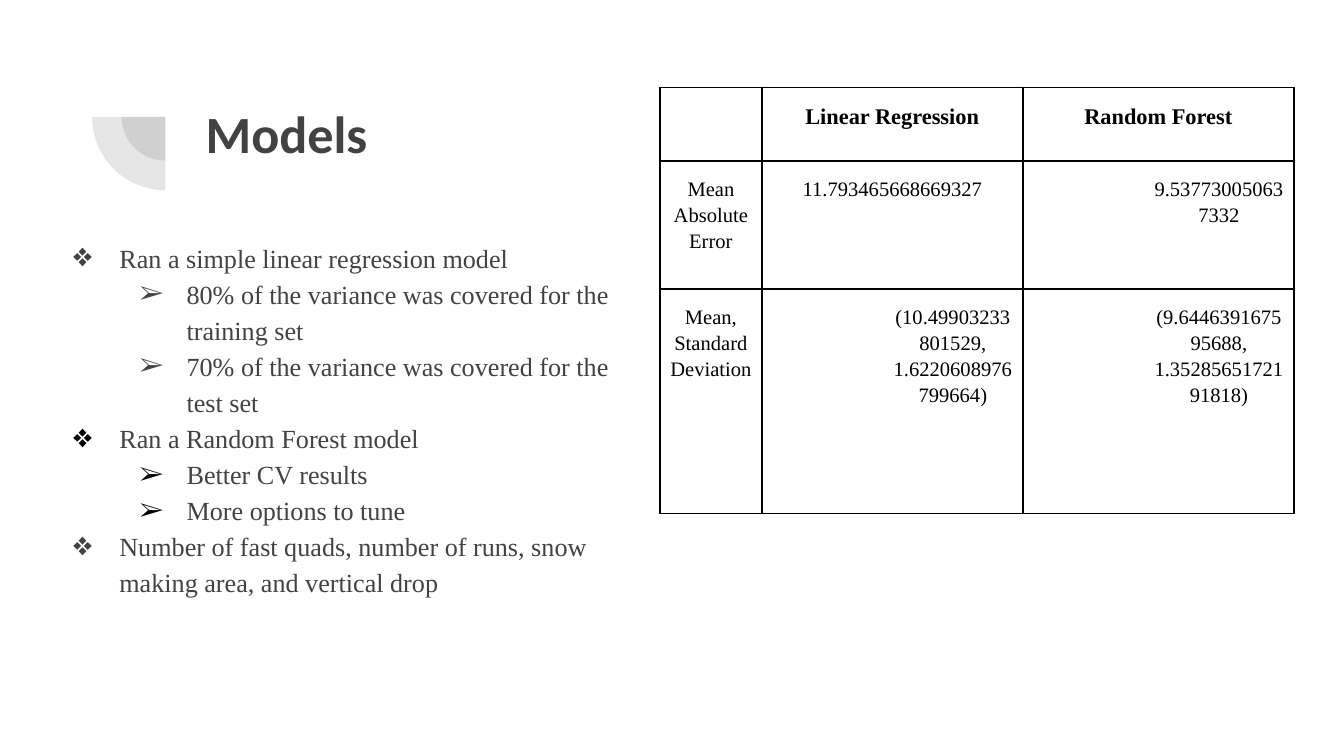
from lxml import etree
from pptx import Presentation
from pptx.dml.color import RGBColor
from pptx.enum.shapes import MSO_SHAPE
from pptx.enum.text import MSO_ANCHOR, MSO_AUTO_SIZE, PP_ALIGN
from pptx.oxml.ns import qn
from pptx.util import Inches, Pt

COLORS = {"ink": "424242", "black": "000000", "white": "FFFFFF"}
BULLETS = ["❖", "➢"]


class SlideBuilder:
    heading_font = "Calibri"
    body_font = "Times New Roman"
    line_spacing = 1.15

    def __init__(self, slide):
        self.slide = slide

    def style(self, para, font, size, color, bold=False):
        for span in para.runs:
            span.font.name = font
            span.font.size = Pt(size)
            span.font.bold = bold
            span.font.color.rgb = RGBColor.from_string(COLORS[color])

    def set_frame(self, frame, anchor):
        frame.word_wrap = True
        frame.auto_size = MSO_AUTO_SIZE.NONE
        frame.vertical_anchor = anchor
        frame.margin_left = frame.margin_right = Inches(0.1)
        frame.margin_top = frame.margin_bottom = Inches(0.1)

    def quarter(self, center_x, center_y, diameter):
        pie = self.slide.shapes.add_shape(
            MSO_SHAPE.PIE, Inches(center_x - diameter / 2),
            Inches(center_y - diameter / 2), Inches(diameter), Inches(diameter))
        pie.adjustments[0] = 107.93
        pie.adjustments[1] = 162
        pie.rotation = 270
        pie.shadow.inherit = False
        pie.line.fill.background()
        pie.fill.solid()
        pie.fill.fore_color.rgb = RGBColor.from_string(COLORS["ink"])
        # Transparency
        color = pie.fill._xPr.find(".//" + qn("a:srgbClr"))
        etree.SubElement(color, qn("a:alpha"), val="13000")

    def title(self, text, left, top, width, height):
        title = self.slide.shapes.title
        title.left, title.top = Inches(left), Inches(top)
        title.width, title.height = Inches(width), Inches(height)
        self.set_frame(title.text_frame, MSO_ANCHOR.TOP)
        title.text_frame.text = text
        para = title.text_frame.paragraphs[0]
        para.alignment = PP_ALIGN.LEFT
        self.style(para, self.heading_font, 28, "ink", bold=True)

    def bullets(self, items, left, top, width, height):
        box = self.slide.shapes.add_textbox(
            Inches(left), Inches(top), Inches(width), Inches(height))
        frame = box.text_frame
        self.set_frame(frame, MSO_ANCHOR.TOP)
        frame.text = "\n".join(text for level, color, text in items)
        for para, (level, color, text) in zip(frame.paragraphs, items):
            para.level = level
            para.line_spacing = self.line_spacing
            self.style(para, self.body_font, 14, "ink")
            # Bullet and hanging indent
            props = para._p.get_or_add_pPr()
            props.set("marL", str(Inches(0.5 * (level + 1))))
            props.set("indent", str(Inches(-0.35)))
            bullet_color = etree.SubElement(props, qn("a:buClr"))
            etree.SubElement(bullet_color, qn("a:srgbClr"), val=COLORS[color])
            etree.SubElement(props, qn("a:buFont"), typeface=self.body_font)
            etree.SubElement(props, qn("a:buChar"), char=BULLETS[level])

    def borders(self, cell):
        props = cell._tc.get_or_add_tcPr()
        for index, side in enumerate(("lnL", "lnR", "lnT", "lnB")):
            line = etree.Element(qn(f"a:{side}"), w=str(Pt(1)))
            fill = etree.SubElement(line, qn("a:solidFill"))
            etree.SubElement(fill, qn("a:srgbClr"), val=COLORS["black"])
            props.insert(index, line)

    def table(self, rows, left, top, widths, heights, indented):
        table = self.slide.shapes.add_table(
            len(rows), len(widths), Inches(left), Inches(top),
            Inches(sum(widths)), Inches(sum(heights))).table
        for column, width in zip(table.columns, widths):
            column.width = Inches(width)
        for row, height in zip(table.rows, heights):
            row.height = Inches(height)
        for i, texts in enumerate(rows):
            for j, text in enumerate(texts):
                cell = table.cell(i, j)
                cell.fill.solid()
                cell.fill.fore_color.rgb = RGBColor.from_string(COLORS["white"])
                self.borders(cell)
                cell.margin_left = cell.margin_right = Inches(0.07)
                cell.margin_top = cell.margin_bottom = Inches(0.1)
                cell.text_frame.text = text
                para = cell.text_frame.paragraphs[0]
                para.alignment = PP_ALIGN.CENTER
                para.line_spacing = self.line_spacing
                if (i, j) in indented:
                    para._p.get_or_add_pPr().set("marL", str(Inches(0.9)))
                else:
                    para.space_before = Pt(12)
                header = i == 0
                self.style(para, self.body_font, 12 if header else 11,
                           "black", bold=header)


def main():
    deck = Presentation()
    # Widescreen, 16:9
    deck.slide_width, deck.slide_height = Inches(10), Inches(10 * 9 / 16)
    page = SlideBuilder(deck.slides.add_slide(deck.slide_layouts[5]))

    # Corner ornament
    for diameter in (0.65, 1.09):
        page.quarter(1.23, 0.87, diameter)

    # Title
    page.title("Models", 1.43, 0.65, 1.69, 0.7)

    # Findings: level, bullet color, text
    page.bullets([
        (0, "ink", "Ran a simple linear regression model"),
        (1, "ink", "80% of the variance was covered for the training set"),
        (1, "ink", "70% of the variance was covered for the test set"),
        (0, "black", "Ran a Random Forest model"),
        (1, "black", "Better CV results"),
        (1, "black", "More options to tune"),
        (0, "ink", "Number of fast quads, number of runs, snow making area, "
                   "and vertical drop"),
    ], 0.29, 1.67, 4.56, 3.63)

    # Model comparison
    page.table([
        ["", "Linear Regression", "Random Forest"],
        ["Mean Absolute Error", "11.793465668669327", "9.537730050637332"],
        ["Mean, Standard Deviation",
         "(10.49903233801529, 1.6220608976799664)",
         "(9.644639167595688, 1.3528565172191818)"],
    ], 4.91, 0.65, widths=[0.76, 1.94, 2.02], heights=[0.55, 0.95, 1.67],
        indented={(1, 2), (2, 1), (2, 2)})

    deck.save("out.pptx")


if __name__ == "__main__":
    main()
